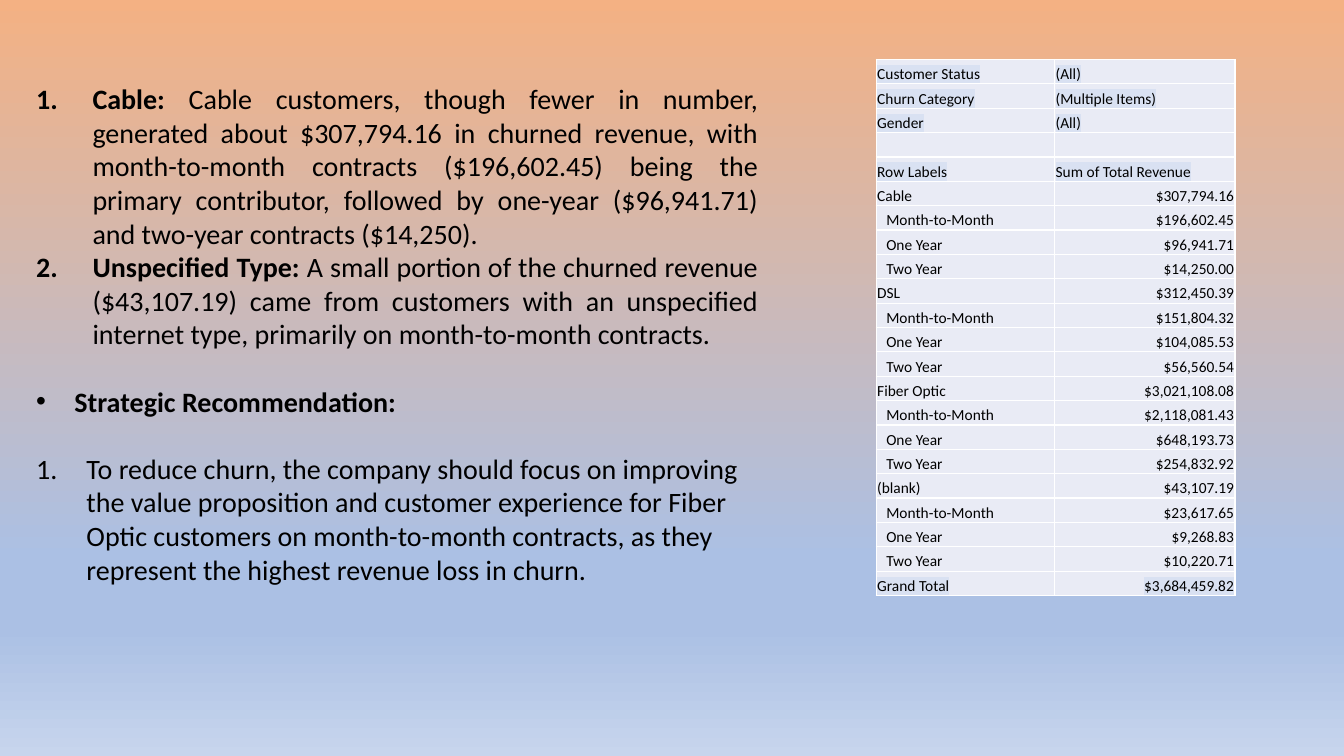
from dataclasses import dataclass

from lxml import etree
from pptx import Presentation
from pptx.dml.color import RGBColor
from pptx.enum import text
from pptx.oxml.ns import qn
from pptx.util import Inches, Pt


@dataclass(frozen=True)
class Theme:
    font: str = "Calibri"
    body_size: int = 20
    table_size: int = 11
    ink: str = "000000"
    cell: str = "E9EBF5"
    border: str = "FFFFFF"
    highlight: str = "D9E1F2"
    gradient: tuple = ((0, "F4B183"), (74, "ABC0E4"), (83, "ABC0E4"), (100, "C7D5ED"))


THEME = Theme()

# Paragraphs: bullet, hanging indent, alignment, space before, (text, bold) runs
NUMBER, DOT = "number", "dot"
LEFT, JUSTIFY = text.PP_ALIGN.LEFT, text.PP_ALIGN.JUSTIFY
FINDINGS = [
    (NUMBER, 0.56, JUSTIFY, 0, [
        ("Cable:", True),
        (" Cable customers, though fewer in number, generated about $307,794.16 in churned "
         "revenue, with month-to-month contracts ($196,602.45) being the primary contributor, "
         "followed by one-year ($96,941.71) and two-year contracts ($14,250).", False)]),
    (NUMBER, 0.56, JUSTIFY, 0, [
        ("Unspecified Type:", True),
        (" A small portion of the churned revenue ($43,107.19) came from customers with an "
         "unspecified internet type, primarily on month-to-month contracts.", False)]),
    (DOT, 0.38, LEFT, 24, [("Strategic Recommendation:", True)]),
    (NUMBER, 0.5, LEFT, 24, [
        ("To reduce churn, the company should focus on improving the value proposition and "
         "customer experience for Fiber Optic customers on month-to-month contracts, as they "
         "represent the highest revenue loss in churn.", False)]),
]

FILTERS = [("Customer Status", "(All)"), ("Churn Category", "(Multiple Items)"),
           ("Gender", "(All)"), ("", ""), ("Row Labels", "Sum of Total Revenue")]
CONTRACTS = ("Month-to-Month", "One Year", "Two Year")
REVENUE = {  # total, then one value per contract
    "Cable": ("$307,794.16", "$196,602.45", "$96,941.71", "$14,250.00"),
    "DSL": ("$312,450.39", "$151,804.32", "$104,085.53", "$56,560.54"),
    "Fiber Optic": ("$3,021,108.08", "$2,118,081.43", "$648,193.73", "$254,832.92"),
    "(blank)": ("$43,107.19", "$23,617.65", "$9,268.83", "$10,220.71"),
}
GRAND_TOTAL = ("Grand Total", "$3,684,459.82")


def add_run(p, words, size, bold=False):
    r = p.add_run()
    r.text = words
    r.font.name, r.font.size, r.font.bold = THEME.font, Pt(size), bold
    r.font.color.rgb = RGBColor.from_string(THEME.ink)
    return r


def add_color(parent, color):
    etree.SubElement(parent, qn("a:srgbClr"), val=color)


def paint_background(s):
    fill = s.background.fill
    fill.gradient()
    fill.gradient_angle = 270
    stops = next(s._element.iter(qn("a:gsLst")))
    for stop in list(stops):
        stops.remove(stop)
    for percent, color in THEME.gradient:
        add_color(etree.SubElement(stops, qn("a:gs"), pos=str(percent * 1000)), color)


def set_bullet(p, bullet, indent):
    """Give the paragraph a hanging number or dot."""
    pPr = p._p.get_or_add_pPr()
    pPr.set("marL", str(Inches(indent)))
    pPr.set("indent", str(-Inches(indent)))
    if bullet == NUMBER:
        etree.SubElement(pPr, qn("a:buFont"), typeface="+mj-lt")
        etree.SubElement(pPr, qn("a:buAutoNum"), type="arabicPeriod")
    else:
        etree.SubElement(pPr, qn("a:buFont"), typeface="Arial")
        etree.SubElement(pPr, qn("a:buChar"), char="•")


def add_findings(s, left, top, width, height):
    box = s.shapes.add_textbox(Inches(left), Inches(top), Inches(width), Inches(height))
    tf = box.text_frame
    tf.word_wrap = True
    tf.auto_size = text.MSO_AUTO_SIZE.SHAPE_TO_FIT_TEXT
    for i, (bullet, indent, align, before, runs) in enumerate(FINDINGS):
        p = tf.add_paragraph() if i else tf.paragraphs[0]
        p.alignment, p.space_before = align, Pt(before)
        set_bullet(p, bullet, indent)
        for words, bold in runs:
            add_run(p, words, THEME.body_size, bold)


def fill_cell(cell, words, indent=0.01, align=LEFT, highlight=False):
    tcPr = cell._tc.get_or_add_tcPr()
    for side in "LRTB":
        line = etree.SubElement(tcPr, qn(f"a:ln{side}"), w=str(Pt(1)))
        add_color(etree.SubElement(line, qn("a:solidFill")), THEME.border)
    cell.fill.solid()
    cell.fill.fore_color.rgb = RGBColor.from_string(THEME.cell)
    cell.vertical_anchor = text.MSO_ANCHOR.BOTTOM
    cell.margin_left, cell.margin_right = Inches(indent), Inches(0.01)
    cell.margin_top, cell.margin_bottom = Inches(0.01), 0
    p = cell.text_frame.paragraphs[0]
    p.alignment = align
    if not words:
        etree.SubElement(p._p, qn("a:endParaRPr"), sz=str(THEME.table_size * 100))
        return
    r = add_run(p, words, THEME.table_size)
    if highlight:
        mark = etree.Element(qn("a:highlight"))
        add_color(mark, THEME.highlight)
        r._r.rPr.find(qn("a:latin")).addprevious(mark)


def revenue_rows():
    """Yield label, value, label indent, value alignment and highlight per row."""
    right = text.PP_ALIGN.RIGHT
    for label, value in FILTERS:
        yield label, value, 0.01, LEFT, True
    for internet_type, (total, *values) in REVENUE.items():
        yield internet_type, total, 0.01, right, False
        for contract, value in zip(CONTRACTS, values):
            yield contract, value, 0.1, right, False
    yield *GRAND_TOTAL, 0.01, right, True


def add_revenue_table(s, left, top, width, height):
    rows = list(revenue_rows())
    frame = s.shapes.add_table(len(rows), 2, Inches(left), Inches(top),
                               Inches(width), Inches(height))
    table = frame.table
    table.first_row = table.horz_banding = False
    label_width = 1.77
    table.columns[0].width = Inches(label_width)
    table.columns[1].width = Inches(width - label_width)
    for i, (label, value, indent, align, highlight) in enumerate(rows):
        table.rows[i].height = Inches(height / len(rows))
        fill_cell(table.cell(i, 0), label, indent, highlight=highlight)
        fill_cell(table.cell(i, 1), value, align=align, highlight=highlight)


def main():
    prs = Presentation()
    prs.slide_width, prs.slide_height = Inches(13.33), Inches(7.5)
    s = prs.slides.add_slide(prs.slide_layouts[6])
    paint_background(s)
    add_findings(s, 0.26, 0.76, 7.36, 5.49)
    add_revenue_table(s, 8.69, 0.59, 3.56, 5.32)
    prs.save("out.pptx")


if __name__ == "__main__":
    main()
